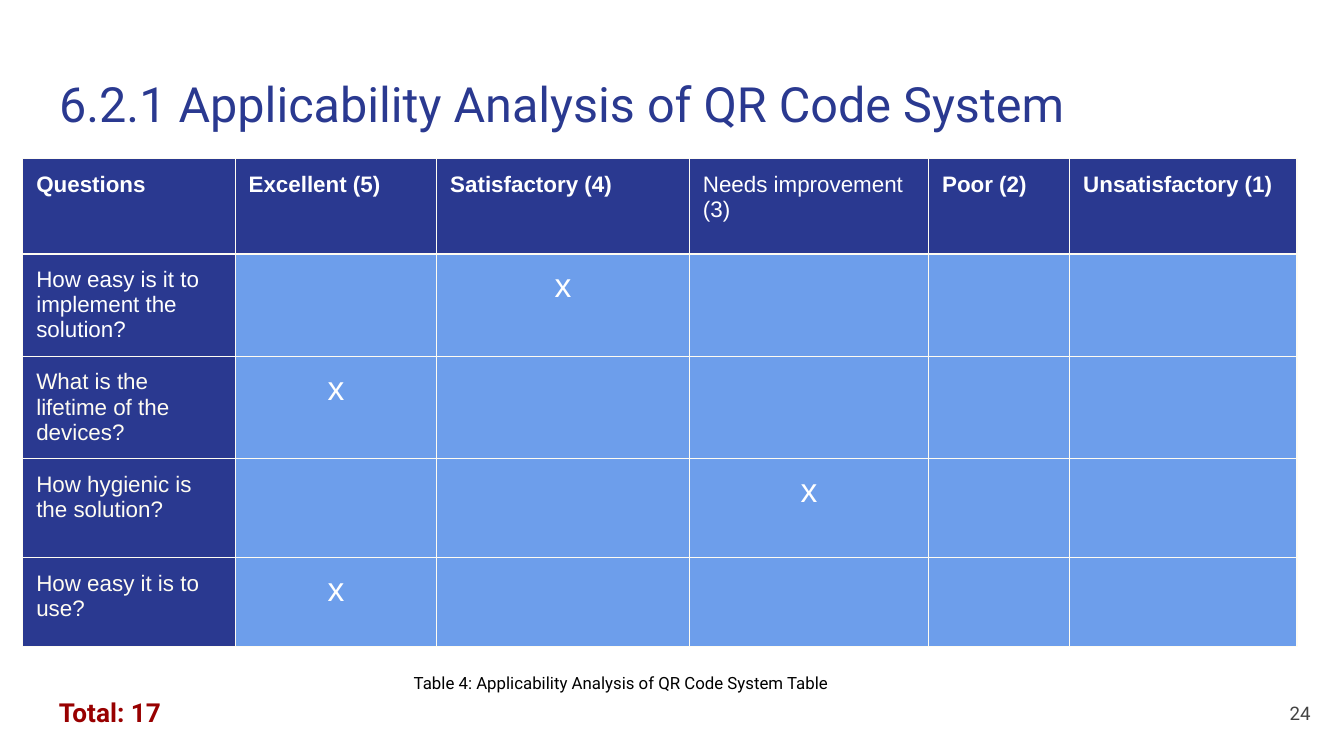
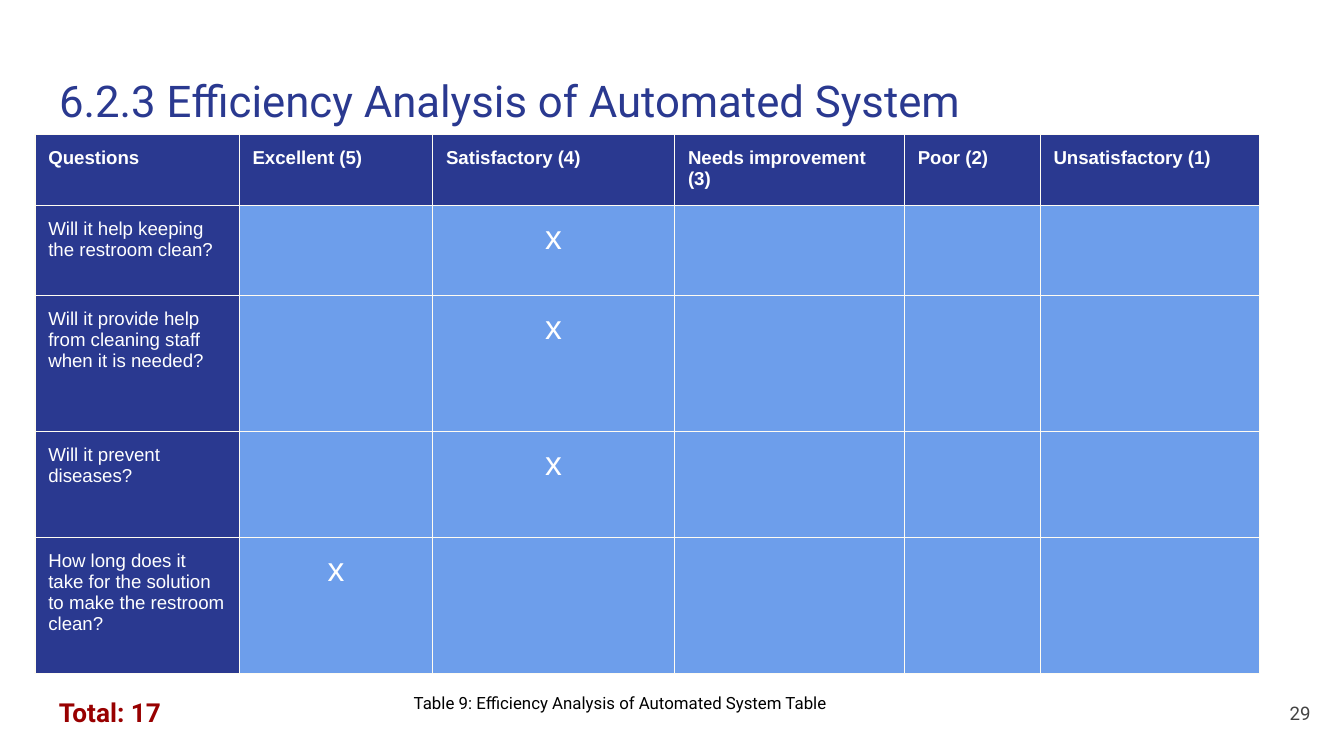
from lxml.etree import SubElement
from pptx import Presentation
from pptx.dml.color import RGBColor
from pptx.enum.text import MSO_ANCHOR as Anchor, MSO_AUTO_SIZE as AutoSize, PP_ALIGN as Align
from pptx.oxml.ns import qn
from pptx.util import Pt

PX = 9144  # 100 px to the inch
INSET = 10 * PX
BORDER = Pt(0.75)
COLORS = {
    "navy": "2A3990", "sky": "6D9EEB", "white": "FFFFFF", "cream": "FFFCF2",
    "red": "980000", "gray": "434343", "black": "000000",
}
RATINGS = {5: "Excellent", 4: "Satisfactory", 3: "Needs improvement",
           2: "Poor", 1: "Unsatisfactory"}
HEADINGS = ["Questions"] + [f"{word} ({score})" for score, word in RATINGS.items()]

# Each answer: question, score given, question colour
ANALYSES = [
    {
        "title": "6.2.1 Applicability Analysis of QR Code System",
        "title_size": 26, "page": "24", "text_size": 12,
        "caption": "Table 4: Applicability Analysis of QR Code System Table",
        "caption_box": (298, 493, 361, 35),
        "corner": (17, 118),
        "columns": [158, 150, 188, 178, 105, 169],
        "rows": [71, 76, 76, 74, 66],
        "plain_heading": "Needs improvement (3)",
        "answers": [
            ("How easy is it to implement the solution?", 4, "white"),
            ("What is the lifetime of the devices?", 5, "cream"),
            ("How hygienic is the solution?", 3, "cream"),
            ("How easy it is to use?", 5, "cream"),
        ],
    },
    {
        "title": "6.2.3 Efficiency Analysis of Automated System",
        "title_size": 23.4, "page": "29", "text_size": 10,
        "caption": "Table 9: Efficiency Analysis of Automated System Table",
        "caption_box": (298, 508, 431, 35),
        "corner": (26, 100),
        "columns": [152, 144, 180, 171, 101, 163],
        "rows": [53, 67, 101, 79, 101],
        "plain_heading": None,
        "answers": [
            ("Will it help keeping the restroom clean?", 4, "white"),
            ("Will it provide help from cleaning staff when it is needed?", 4, "white"),
            ("Will it prevent diseases?", 4, "white"),
            ("How long does it take for the solution to make the restroom clean?", 5, "white"),
        ],
    },
]


def write(frame, text, size, color, font="Roboto", bold=False, align=Align.LEFT):
    frame.text = text
    paragraph = frame.paragraphs[0]
    paragraph.alignment = align
    style = paragraph.runs[0].font
    style.size, style.name, style.bold = Pt(size), font, bold
    style.color.rgb = RGBColor.from_string(COLORS[color])


def prepare(shape, box, anchor=Anchor.TOP, fit=AutoSize.NONE):
    shape.left, shape.top, shape.width, shape.height = [n * PX for n in box]
    frame = shape.text_frame
    frame.word_wrap = True
    frame.auto_size = fit
    frame.vertical_anchor = anchor
    frame.margin_left = frame.margin_right = INSET
    frame.margin_top = frame.margin_bottom = INSET
    return frame


deck = Presentation()
deck.slide_width = 1000 * PX
deck.slide_height = deck.slide_width * 9 // 16

for analysis in ANALYSES:
    slide = deck.slides.add_slide(deck.slide_layouts[5])

    # Title and page number
    heading = prepare(slide.shapes.title, (34, 45, 932, 66))
    write(heading, analysis["title"], analysis["title_size"], "navy")
    page = prepare(slide.shapes.add_textbox(0, 0, 0, 0), (925, 509, 60, 43), Anchor.MIDDLE)
    write(page, analysis["page"], 10, "gray", align=Align.RIGHT)

    # Rating table
    columns, rows = analysis["columns"], analysis["rows"]
    left, top = analysis["corner"]
    ratings = slide.shapes.add_table(len(rows), len(columns), left * PX, top * PX,
                                     sum(columns) * PX, sum(rows) * PX).table
    ratings.first_row = ratings.horz_banding = False
    for column, width in zip(ratings.columns, columns):
        column.width = width * PX
    for row, height in zip(ratings.rows, rows):
        row.height = height * PX

    # Cell margins, borders and fills
    for r in range(len(rows)):
        for c in range(len(columns)):
            cell = ratings.cell(r, c)
            cell.margin_left = cell.margin_right = INSET
            cell.margin_top = cell.margin_bottom = INSET
            properties = cell._tc.get_or_add_tcPr()
            for side in ("a:lnL", "a:lnR", "a:lnT", "a:lnB"):
                border = SubElement(properties, qn(side), w=str(BORDER))
                paint = SubElement(border, qn("a:solidFill"))
                SubElement(paint, qn("a:srgbClr"), val=COLORS["cream"])
            cell.fill.solid()
            cell.fill.fore_color.rgb = RGBColor.from_string(
                COLORS["navy" if r == 0 or c == 0 else "sky"])

    # Headings, questions and marks
    size = analysis["text_size"]
    for c, label in enumerate(HEADINGS):
        write(ratings.cell(0, c).text_frame, label, size, "white", "Arial",
              bold=label != analysis["plain_heading"])
    for r, (question, score, color) in enumerate(analysis["answers"], start=1):
        write(ratings.cell(r, 0).text_frame, question, size, color, "Arial")
        write(ratings.cell(r, 6 - score).text_frame, "x", 18, "white", "Arial",
              align=Align.CENTER)

    # Total and caption
    total = prepare(slide.shapes.add_textbox(0, 0, 0, 0), (34, 508, 233, 44),
                    fit=AutoSize.SHAPE_TO_FIT_TEXT)
    points = sum(score for _, score, _ in analysis["answers"])
    write(total, f"Total: {points}", 14, "red", bold=True)
    caption = prepare(slide.shapes.add_textbox(0, 0, 0, 0), analysis["caption_box"],
                      fit=AutoSize.SHAPE_TO_FIT_TEXT)
    write(caption, analysis["caption"], 9, "black")

deck.save("out.pptx")
